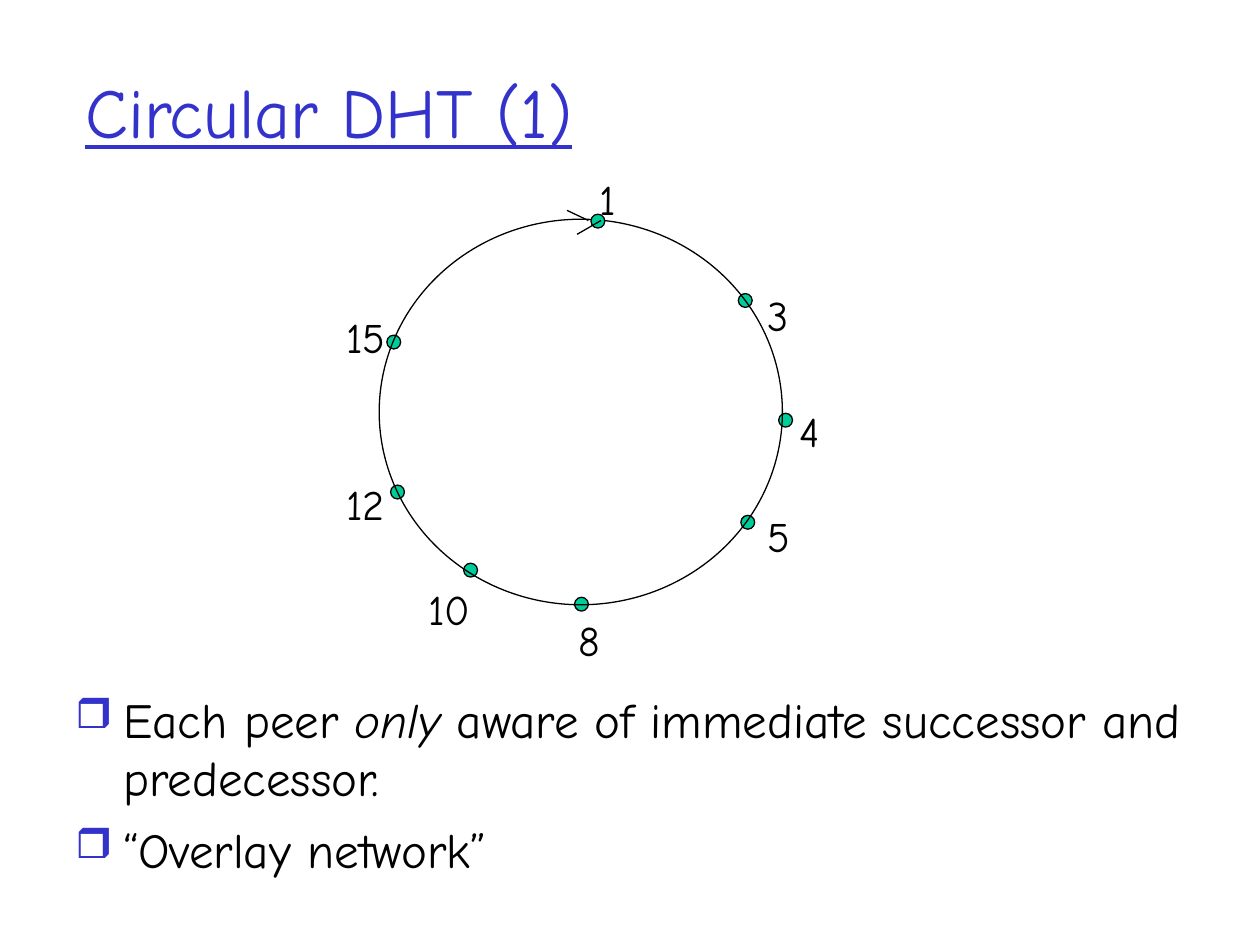
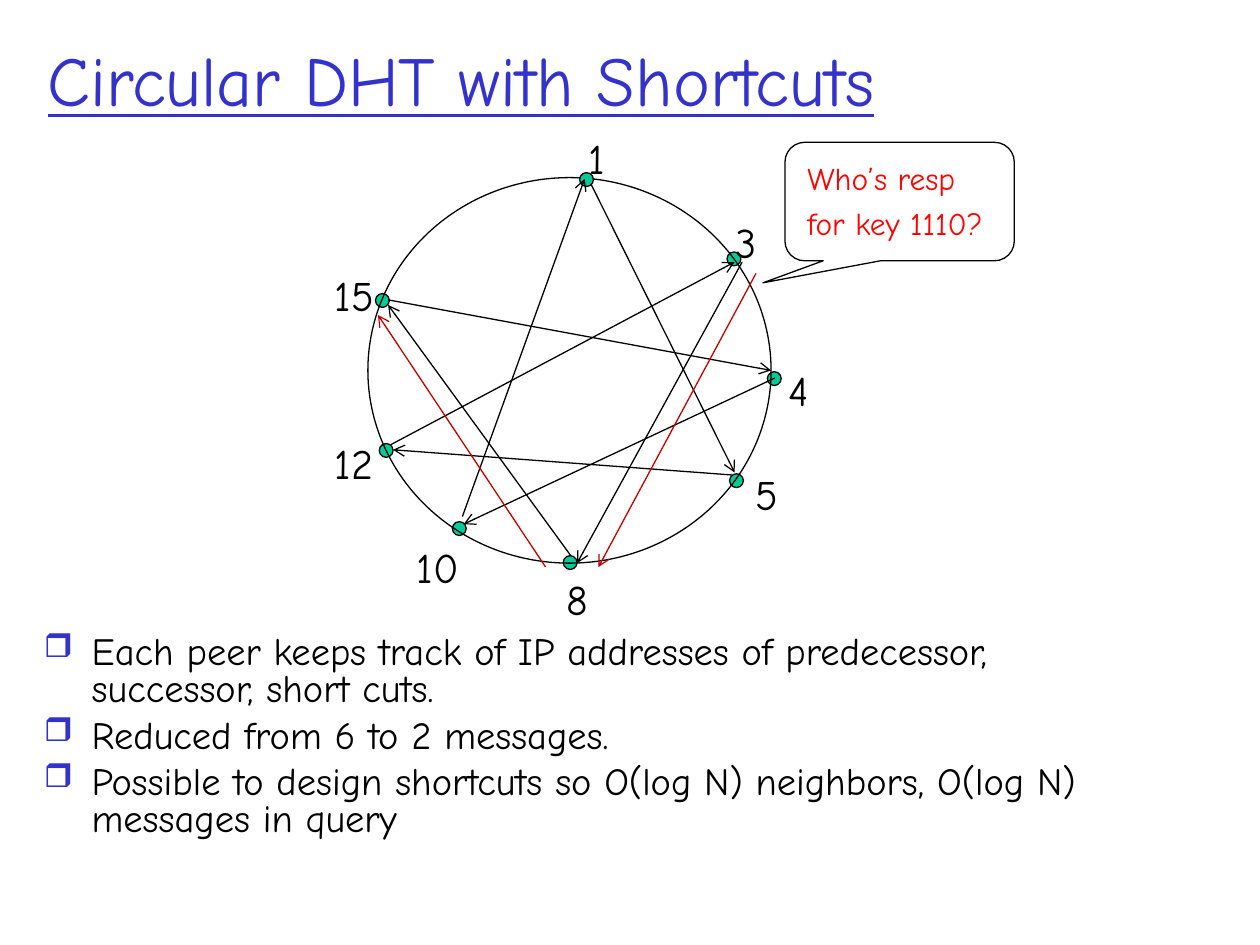
from lxml import etree
from pptx import Presentation
from pptx import util as u
from pptx.dml.color import RGBColor
from pptx.enum import shapes, text
from pptx.oxml import ns

FONT = "Comic Neue"
BLACK, BLUE, GREEN, RED, DARK_RED = "000000", "3333CC", "00CC99", "FF0000", "C00000"
RING_WIDTH, RING_HEIGHT = 3.2, 3.06
DOT = 0.11
LABEL_WIDTHS = {1: 0.38, 2: 0.56}  # by number of digits

# Peer: offset of its dot from the ring's box, offset of its label from the dot
PEERS = {
    "8": ((1.55, 3.0), (-0.07, 0.09)),
    "15": ((0.06, 0.92), (-0.42, -0.24)),
    "12": ((0.09, 2.11), (-0.45, -0.1)),
    "3": ((2.85, 0.59), (0.13, -0.08)),
    "4": ((3.17, 1.54), (0.07, -0.11)),
    "5": ((2.87, 2.35), (0.11, -0.09)),
    "10": ((0.67, 2.73), (-0.38, 0.11)),
    "1": ((1.68, -0.04), (-0.03, -0.37)),
}
# Lines inside the ring's box: start x, start y, end x, end y
DIRECTION_MARK = [(1.49, -0.07, 1.66, 0.01), (1.76, 0.01, 1.57, 0.12)]
SHORTCUTS = [
    (3.23, 1.59, 0.76, 2.75),
    (2.89, 2.36, 0.2, 2.16),
    (1.61, 3.0, 0.16, 1.01),
    (0.75, 2.69, 1.72, 0.01),
    (0.18, 2.12, 2.91, 0.67),
    (0.16, 0.97, 3.2, 1.53),
    (1.77, 0.05, 2.91, 2.34),
    (2.97, 0.67, 1.66, 3.06),
]
QUERY_ROUTE = [(3.08, 0.76, 1.83, 3.09), (1.41, 3.09, 0.08, 1.09)]


def color(hex_string):
    return RGBColor.from_string(hex_string)


def inches(*lengths):
    return [u.Inches(length) for length in lengths]


def add_bullet(paragraph):
    properties = paragraph._p.get_or_add_pPr()
    properties.set("marL", str(u.Inches(0.38)))
    properties.set("indent", str(u.Inches(-0.38)))
    bullet_color = etree.SubElement(properties, ns.qn("a:buClr"))
    etree.SubElement(bullet_color, ns.qn("a:srgbClr"), val=BLUE)
    etree.SubElement(properties, ns.qn("a:buSzPct"), val="85000")
    etree.SubElement(properties, ns.qn("a:buChar"), char="❒")


def add_text(slide, box, paragraphs, size, ink=BLACK, underline=False, before=0,
             spacing=None, bullets=False, wrap=True, fit=False,
             anchor=text.MSO_ANCHOR.TOP):
    """Each paragraph is a string, or a list of (string, italic) runs."""
    frame = slide.shapes.add_textbox(*inches(*box)).text_frame
    frame.word_wrap = wrap
    frame.vertical_anchor = anchor
    if fit:
        frame.auto_size = text.MSO_AUTO_SIZE.SHAPE_TO_FIT_TEXT
    for index, content in enumerate(paragraphs):
        paragraph = frame.add_paragraph() if index else frame.paragraphs[0]
        paragraph.space_before = u.Pt(before)
        if spacing:
            paragraph.line_spacing = spacing
        if bullets:
            add_bullet(paragraph)
        for words, italic in [(content, False)] if isinstance(content, str) else content:
            run = paragraph.add_run()
            run.text = words
            font = run.font
            font.name, font.size = FONT, u.Pt(size)
            font.italic, font.underline = italic, underline
            font.color.rgb = color(ink)


def add_outline(slide, preset, box, fill=None):
    outline = slide.shapes.add_shape(preset, *inches(*box))
    outline.shadow.inherit = False
    if fill:
        outline.fill.solid()
        outline.fill.fore_color.rgb = color(fill)
    else:
        outline.fill.background()
    outline.line.color.rgb = color(BLACK)
    outline.line.width = u.Pt(0.75)
    return outline


def add_lines(slide, left, top, lines, ink=BLACK, arrow=True):
    for x1, y1, x2, y2 in lines:
        line = slide.shapes.add_connector(
            shapes.MSO_CONNECTOR.STRAIGHT,
            *inches(left + x1, top + y1, left + x2, top + y2))
        line.line.color.rgb = color(ink)
        line.line.width = u.Pt(0.75)
        if arrow:
            etree.SubElement(line.line._get_or_add_ln(), ns.qn("a:tailEnd"), type="arrow")
        etree.SubElement(line._element.spPr, ns.qn("a:effectLst"))


def add_title(slide, box, title):
    add_text(slide, box, [title], 40, ink=BLUE, underline=True,
             anchor=text.MSO_ANCHOR.MIDDLE)


def add_ring(slide, left, top, moved_labels=None):
    """The circle of peers; moved_labels replaces some label offsets."""
    def add_dot(peer):
        x, y = PEERS[peer][0]
        add_outline(slide, shapes.MSO_SHAPE.OVAL, (left + x, top + y, DOT, DOT), GREEN)

    first, *others = sorted(PEERS, key=int)
    for peer in others:
        add_dot(peer)
    add_outline(slide, shapes.MSO_SHAPE.OVAL, (left, top, RING_WIDTH, RING_HEIGHT))
    for peer, ((x, y), offset) in PEERS.items():
        dx, dy = (moved_labels or {}).get(peer, offset)
        add_text(slide, (left + x + dx, top + y + dy, LABEL_WIDTHS[len(peer)], 0.5),
                 [peer], 24, before=6, wrap=False, fit=True)
    add_dot(first)


def add_question(slide, left, top):
    bubble = add_outline(slide, shapes.MSO_SHAPE.ROUNDED_RECTANGULAR_CALLOUT,
                         (left, top, 1.82, 0.94))
    for index, value in enumerate((-0.596, 0.686, 0.167)):
        bubble.adjustments[index] = value
    add_text(slide, (left + 0.08, top + 0.08, 1.8, 0.77),
             ["Who’s resp", "for key 1110?"], 18, ink=RED, before=4.5, fit=True)


def build_circular_dht(slide):
    left, top = 3.01, 1.74
    add_ring(slide, left, top)
    add_lines(slide, left, top, DIRECTION_MARK, arrow=False)
    add_title(slide, (0.58, 0.25, 8.5, 1.25), "Circular DHT (1)")
    add_text(slide, (0.5, 5.42, 9, 1.67), [
        [("Each peer ", False), ("only", True),
         (" aware of immediate successor and predecessor.", False)],
        "“Overlay network”",
    ], 28, before=7, bullets=True)


def build_shortcuts(slide):
    left, top = 2.92, 1.41
    add_title(slide, (0.28, 0, 9, 1.25), "Circular DHT with Shortcuts")
    add_text(slide, (0.25, 5, 9, 1.83), [
        "Each peer keeps track of IP addresses of predecessor, successor, short cuts.",
        "Reduced from 6 to 2 messages.",
        "Possible to design shortcuts so O(log N) neighbors, O(log N) messages in query",
    ], 22, before=5.5, spacing=0.8, bullets=True)
    add_ring(slide, left, top, moved_labels={"3": (-0.03, -0.33)})
    add_lines(slide, left, top, SHORTCUTS)
    add_lines(slide, left, top, QUERY_ROUTE, ink=DARK_RED)
    add_question(slide, 6.23, 1.13)


def main():
    deck = Presentation()
    deck.slide_width, deck.slide_height = inches(10, 7.5)
    for build in (build_circular_dht, build_shortcuts):
        build(deck.slides.add_slide(deck.slide_layouts[6]))
    deck.save("out.pptx")


if __name__ == "__main__":
    main()
